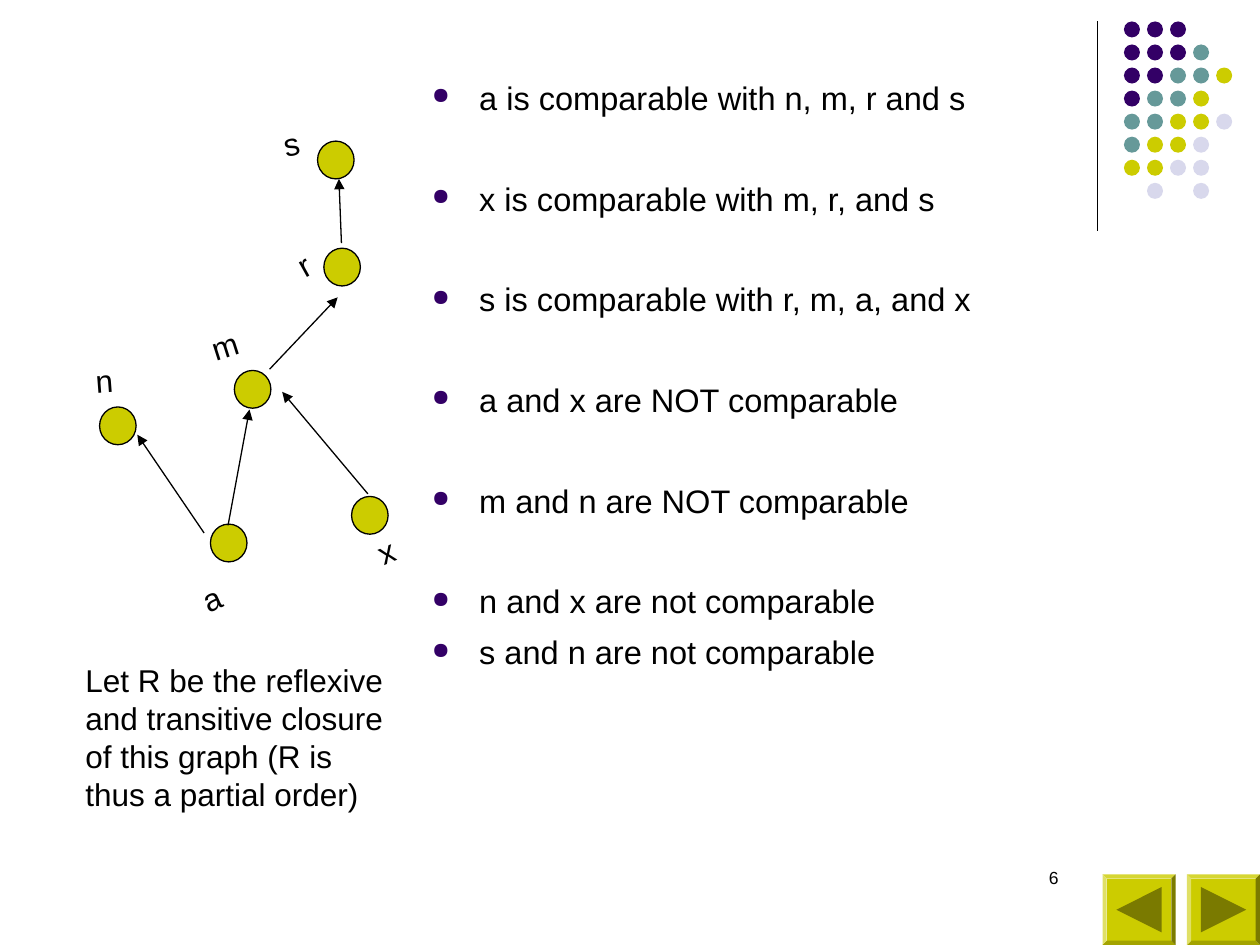
import pptx
import pptx.util
import pptx.dml.color
import pptx.enum.shapes
import pptx.enum.text
from lxml import etree

SHAPE = pptx.enum.shapes.MSO_SHAPE
ALIGN = pptx.enum.text.PP_ALIGN
BLACK, PURPLE, TEAL, OLIVE, LILAC, SHADE = (
    "000000", "330066", "669999", "CCCC00", "D8D8EC", "7A7A00")

deck = pptx.Presentation()
deck.slide_width = pptx.util.Inches(10)
deck.slide_height = pptx.util.Inches(7.5)
slide = deck.slides.add_slide(deck.slide_layouts[6])

# The slide is a grid of 100 columns by 75 rows of square cells
CELL = deck.slide_width / 100


def colour(hex_code):
    return pptx.dml.color.RGBColor.from_string(hex_code)


def write(text, left, top, width, height, size=18, align=ALIGN.LEFT,
          rotation=0, wrap=True, gaps=(0,), bullet=None):
    """Place text; each line is a paragraph, with gaps as space before."""
    box = slide.shapes.add_textbox(*[round(n * CELL) for n in (left, top, width, height)])
    box.rotation = rotation
    box.text_frame.word_wrap = wrap
    box.text_frame.text = text
    for paragraph, gap in zip(box.text_frame.paragraphs, gaps):
        paragraph.alignment = align
        paragraph.space_before = pptx.util.Pt(gap)
        if bullet:
            properties = paragraph._p.get_or_add_pPr()
            properties.set("marL", str(round(3.75 * CELL)))
            properties.set("indent", str(round(-3.75 * CELL)))
            tint = etree.SubElement(properties, pptx.oxml.ns.qn("a:buClr"))
            etree.SubElement(tint, pptx.oxml.ns.qn("a:srgbClr"), val=bullet)
            etree.SubElement(properties, pptx.oxml.ns.qn("a:buSzPct"), val="70000")
            etree.SubElement(properties, pptx.oxml.ns.qn("a:buChar"), char="●")
        paragraph.font.name = "Arial"
        paragraph.font.size = pptx.util.Pt(size)
        paragraph.font.color.rgb = colour(BLACK)


# Corner ornament: rule and dots
rules = [((87.1, 1.7), (87.1, 18.3), False)]
ovals = []
dot_colours = {"p": PURPLE, "t": TEAL, "o": OLIVE, "l": LILAC}
dot_rows = ["ppp", "pppt", "pptto", "ptto", "ttool", "tool", "ooll", " l l"]
for row, dots in enumerate(dot_rows):
    for column, dot in enumerate(dots):
        if dot != " ":
            ovals.append((89.2 + 1.83 * column, 1.7 + 1.83 * row, 1.27, 1.27,
                          dot_colours[dot], False))

# Graph: vertices, then edges along the order
vertices = [(7.9, 32.3), (27.9, 39.4), (25.2, 11.2), (25.7, 19.7), (16.7, 41.6), (18.6, 29.4)]
ovals += [(left, top, 2.9, 3, OLIVE, True) for left, top in vertices]
rules += [
    ((16.2, 42.3), (10.9, 34.5), True),
    ((27.1, 19.3), (26.9, 14.2), True),
    ((18.1, 41.7), (19.8, 32.5), True),
    ((21.4, 29.3), (26.8, 23.6), True),
    ((29.2, 39.2), (22.4, 31.1), True),
]

for left, top, width, height, fill, outlined in ovals:
    oval = slide.shapes.add_shape(
        SHAPE.OVAL, *[round(n * CELL) for n in (left, top, width, height)])
    oval.shadow.inherit = False
    oval.fill.solid()
    oval.fill.fore_color.rgb = colour(fill)
    if outlined:
        oval.line.color.rgb = colour(BLACK)
        oval.line.width = pptx.util.Pt(0.75)
    else:
        oval.line.fill.background()

for start, end, arrow in rules:
    rule = slide.shapes.add_connector(
        pptx.enum.shapes.MSO_CONNECTOR.STRAIGHT,
        *[round(n * CELL) for n in start + end])
    rule.line.color.rgb = colour(BLACK)
    rule.line.width = pptx.util.Pt(0.75)
    if arrow:
        etree.SubElement(rule.line._get_or_add_ln(),
                         pptx.oxml.ns.qn("a:tailEnd"), type="triangle")
    etree.SubElement(rule._element.spPr, pptx.oxml.ns.qn("a:effectLst"))

# Vertex names, each tilted its own way
for name, left, top, width, tilt in [
    ("a", 15.1, 45.5, 3.4, 335.9),
    ("r", 22.7, 19, 2.8, 330.9),
    ("x", 29.3, 42.4, 3.2, 157.2),
    ("s", 21.5, 9.4, 3.2, 347.7),
    ("m", 15.8, 25.4, 4.1, 342.3),
    ("n", 6.6, 28.2, 3.4, 355.7),
]:
    write(name, left, top, width, 4, rotation=tilt, wrap=False)

# Statements and caption
statements = [
    "a is comparable with n, m, r and s",
    "x is comparable with m, r, and s",
    "s is comparable with r, m, a, and x",
    "a and x are NOT comparable",
    "m and n are NOT comparable",
    "n and x are not comparable",
    "s and n are not comparable",
]
write("\n".join(statements), 33.3, 5.7, 53.7, 48.2, size=18.6,
      gaps=[0] + [35.2] * 5 + [6.9], bullet=PURPLE)
write("Let R be the reflexive and transitive closure of this graph "
      "(R is thus a partial order)", 5.8, 52, 26.1, 19)

# Slide number and navigation buttons
write("6", 71.7, 68.3, 13.3, 5, size=10, align=ALIGN.RIGHT)
for left, turn in [(87.5, 270), (94.2, 90)]:
    for form, x, y, width, height, fill, angle in [
        (SHAPE.BEVEL, left, 69.4, 5.8, 5.6, OLIVE, 0),
        (SHAPE.ISOSCELES_TRIANGLE, left + 1.1, 70.4, 3.6, 3.6, SHADE, turn),
    ]:
        part = slide.shapes.add_shape(
            form, *[round(n * CELL) for n in (x, y, width, height)])
        if form == SHAPE.BEVEL:
            part.adjustments[0] = 0.06
        part.rotation = angle
        part.shadow.inherit = False
        part.fill.solid()
        part.fill.fore_color.rgb = colour(fill)
        part.line.fill.background()

deck.save("out.pptx")
